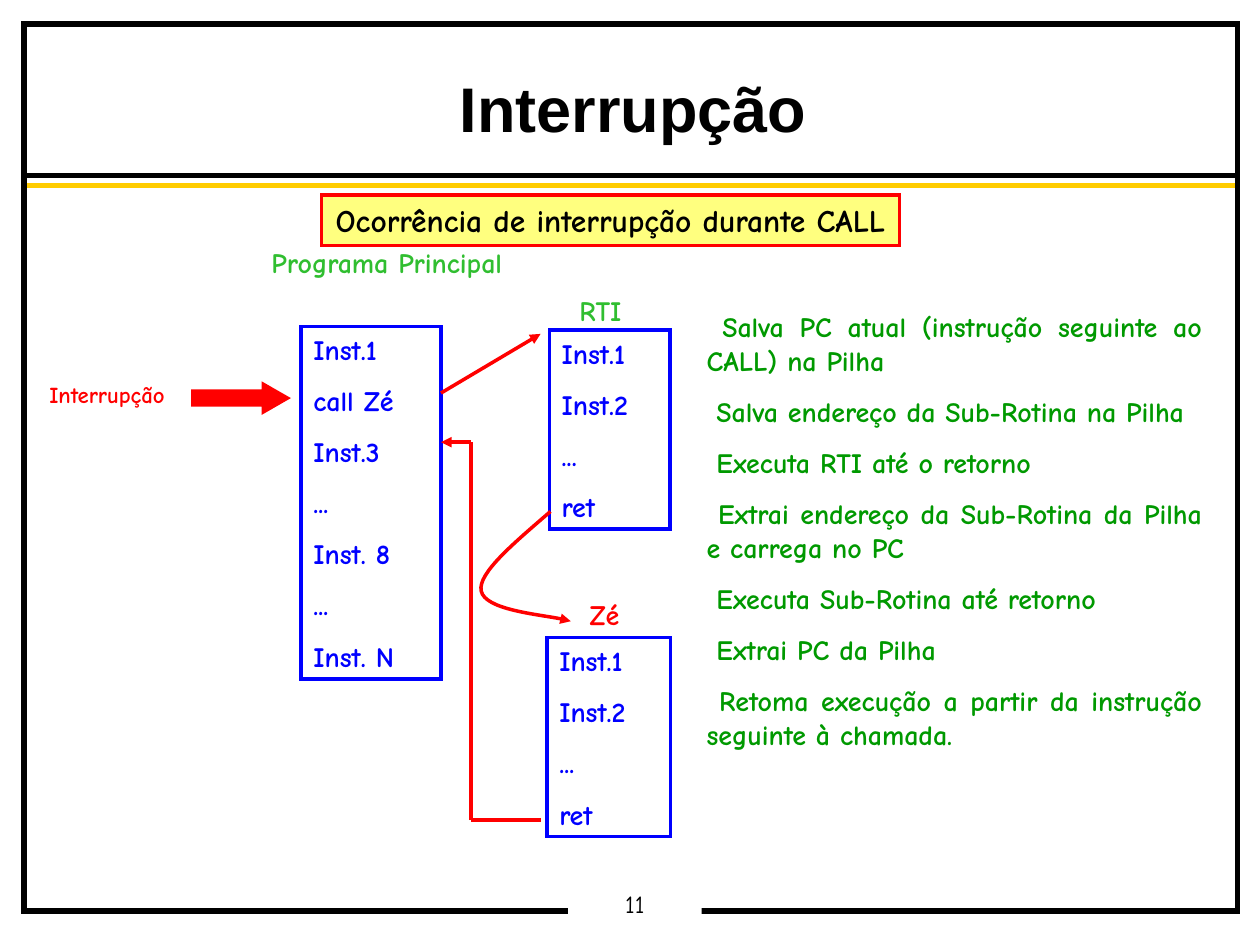
from lxml import etree
from pptx import Presentation
from pptx.dml.color import RGBColor
from pptx.enum import shapes, text
from pptx.oxml.ns import qn
from pptx.util import Pt

BLACK = RGBColor(0, 0, 0)
WHITE = RGBColor(255, 255, 255)
GOLD = RGBColor(255, 204, 0)
YELLOW = RGBColor(255, 255, 0)
RED = RGBColor(255, 0, 0)
BLUE = RGBColor(0, 0, 255)
LIGHT_GREEN = RGBColor(0x30, 0xBE, 0x30)
GREEN = RGBColor(0, 0x99, 0)

LEFT, CENTER, JUSTIFY = text.PP_ALIGN.LEFT, text.PP_ALIGN.CENTER, text.PP_ALIGN.JUSTIFY
RECT = shapes.MSO_SHAPE.RECTANGLE

prs = Presentation()
prs.slide_width, prs.slide_height = Pt(720), Pt(540)
s = prs.slides.add_slide(prs.slide_layouts[6])


def add_text(lines, at, size=16, color=BLACK, font="Comic Neue", bold=True, align=LEFT,
             wrap=True, inset=(7.2, 3.6), spacing=None, fill=None, alpha=None, outline=None):
    """Add a text frame at (left, top, width, height), a rectangle if it has a fill or outline."""
    box = [Pt(v) for v in at]
    if fill is None and outline is None:
        sp = s.shapes.add_textbox(*box)
    else:
        sp = s.shapes.add_shape(RECT, *box)
        sp.shadow.inherit = False
        if fill is None:
            sp.fill.background()
        else:
            sp.fill.solid()
            sp.fill.fore_color.rgb = fill
        if alpha is not None:
            clr = sp._element.spPr.find(qn("a:solidFill"))[0]
            etree.SubElement(clr, qn("a:alpha"), val=str(alpha * 1000))
        if outline is None:
            sp.line.fill.background()
        else:
            sp.line.color.rgb, width = outline
            sp.line.width = Pt(width)
            etree.SubElement(sp._element.spPr.find(qn("a:ln")), qn("a:miter"), lim="800000")
    tf = sp.text_frame
    tf.word_wrap = wrap
    if not wrap:
        tf.auto_size = text.MSO_AUTO_SIZE.SHAPE_TO_FIT_TEXT
    tf.vertical_anchor = text.MSO_ANCHOR.TOP
    tf.margin_left = tf.margin_right = Pt(inset[0])
    tf.margin_top = tf.margin_bottom = Pt(inset[1])
    for i, line in enumerate(lines):
        p = tf.paragraphs[0] if i == 0 else tf.add_paragraph()
        p.alignment = align
        p.line_spacing = spacing
        if i:
            p.space_before = Pt(10)
        r = p.add_run()
        r.text = line
        r.font.name, r.font.size, r.font.bold = font, Pt(size), bold
        r.font.color.rgb = color


def style_line(sp, color, width, arrow=False):
    sp.line.color.rgb = color
    sp.line.width = Pt(width)
    if arrow:
        etree.SubElement(sp._element.spPr.find(qn("a:ln")), qn("a:tailEnd"), type="triangle")
    etree.SubElement(sp._element.spPr, qn("a:effectLst"))


# Slide frame, rules under the title, page number and title
for y, color in ((100.1, BLACK), (105.8, GOLD)):
    rule = s.shapes.add_connector(shapes.MSO_CONNECTOR.STRAIGHT, Pt(14.4), Pt(y), Pt(708.5), Pt(y))
    style_line(rule, color, 3)
add_text([], (13.7, 13.7, 693.4, 506.9), outline=(BLACK, 3))
add_text(["11"], (324.7, 507.6, 76.3, 19.4), size=14, bold=False, align=CENTER,
         inset=(5, 2.2), spacing=0.9, fill=WHITE)
add_text(["Interrupção"], (14.4, 41, 694.8, 45.4), size=36, font="Arial", align=CENTER,
         inset=(5, 2.2), spacing=0.95)
add_text(["Ocorrência de interrupção durante CALL"], (183.6, 111.6, 330.5, 28.8), size=18,
         align=CENTER, wrap=False, fill=YELLOW, alpha=50, outline=(RED, 2))

# Code blocks and their labels
routine = ["Inst.1", "Inst.2", "...", "ret"]
main_program = ["Inst.1", "call Zé", "Inst.3", "...", "Inst. 8", "...", "Inst. N"]
for code, at in ((main_program, (172, 186.5, 80, 201.6)),
                 (routine, (313.9, 188.6, 69.1, 113.8)),
                 (routine, (312.5, 364.3, 70.6, 113.8))):
    add_text(code, at, color=BLUE, align=JUSTIFY, outline=(BLUE, 2))
for label, at, color, align in (
        ("Programa Principal", (147.6, 136.8, 146.9, 26.6), LIGHT_GREEN, CENTER),
        ("RTI", (324, 164.2, 39, 26.6), LIGHT_GREEN, LEFT),
        ("Zé", (329.8, 337.7, 32, 26.6), RED, LEFT)):
    add_text([label], at, color=color, align=align, wrap=False)

# Interrupt signal
add_text(["Interrupção"], (8.6, 213.8, 105.1, 23), size=13, color=RED, align=CENTER)
signal = s.shapes.add_shape(shapes.MSO_SHAPE.RIGHT_ARROW, Pt(110.2), Pt(219.6), Pt(54), Pt(15.8))
signal.adjustments[0], signal.adjustments[1] = 0.5, 0.87
signal.fill.solid()
signal.fill.fore_color.rgb = RED
style_line(signal, RED, 2)
etree.SubElement(signal._element.spPr.find(qn("a:ln")), qn("a:miter"), lim="800000")

# Call to RTI, and the three-part return path from Zé
for x1, y1, x2, y2, arrow in ((252, 224.6, 308.9, 190.8, True),
                              (308.9, 468.7, 269.3, 468.7, False),
                              (269.3, 468.7, 269.3, 252.7, False),
                              (269.3, 252.7, 252, 252.7, True)):
    step = s.shapes.add_connector(shapes.MSO_CONNECTOR.STRAIGHT, Pt(x1), Pt(y1), Pt(x2), Pt(y2))
    style_line(step, RED, 2, arrow)

# Curve from RTI to Zé: every three points become one Bezier segment
fb = s.shapes.build_freeform(Pt(314.6), Pt(292.3))
fb.add_line_segments([(Pt(x), Pt(y)) for x, y in (
    (293.8, 310.3), (272.9, 327.6), (275, 337.7),
    (277.2, 348.5), (317.5, 352.1), (326.2, 355))], close=False)
curve = fb.convert_to_shape()
curve.fill.background()
style_line(curve, RED, 2, arrow=True)
outline_path = next(curve._element.iter(qn("a:path")))
segments = outline_path.findall(qn("a:lnTo"))
for i in range(0, len(segments), 3):
    bezier = etree.SubElement(outline_path, qn("a:cubicBezTo"))
    for segment in segments[i:i + 3]:
        bezier.append(segment[0])
        outline_path.remove(segment)

# Steps
add_text([" Salva PC atual (instrução seguinte ao CALL) na Pilha",
          " Salva endereço da Sub-Rotina na Pilha",
          " Executa RTI até o retorno",
          " Extrai endereço da Sub-Rotina da Pilha e carrega no PC",
          " Executa Sub-Rotina até retorno",
          " Extrai PC da Pilha",
          " Retoma execução a partir da instrução seguinte à chamada."],
         (396.7, 173.5, 297.4, 296.6), color=GREEN, align=JUSTIFY)

prs.save("out.pptx")
